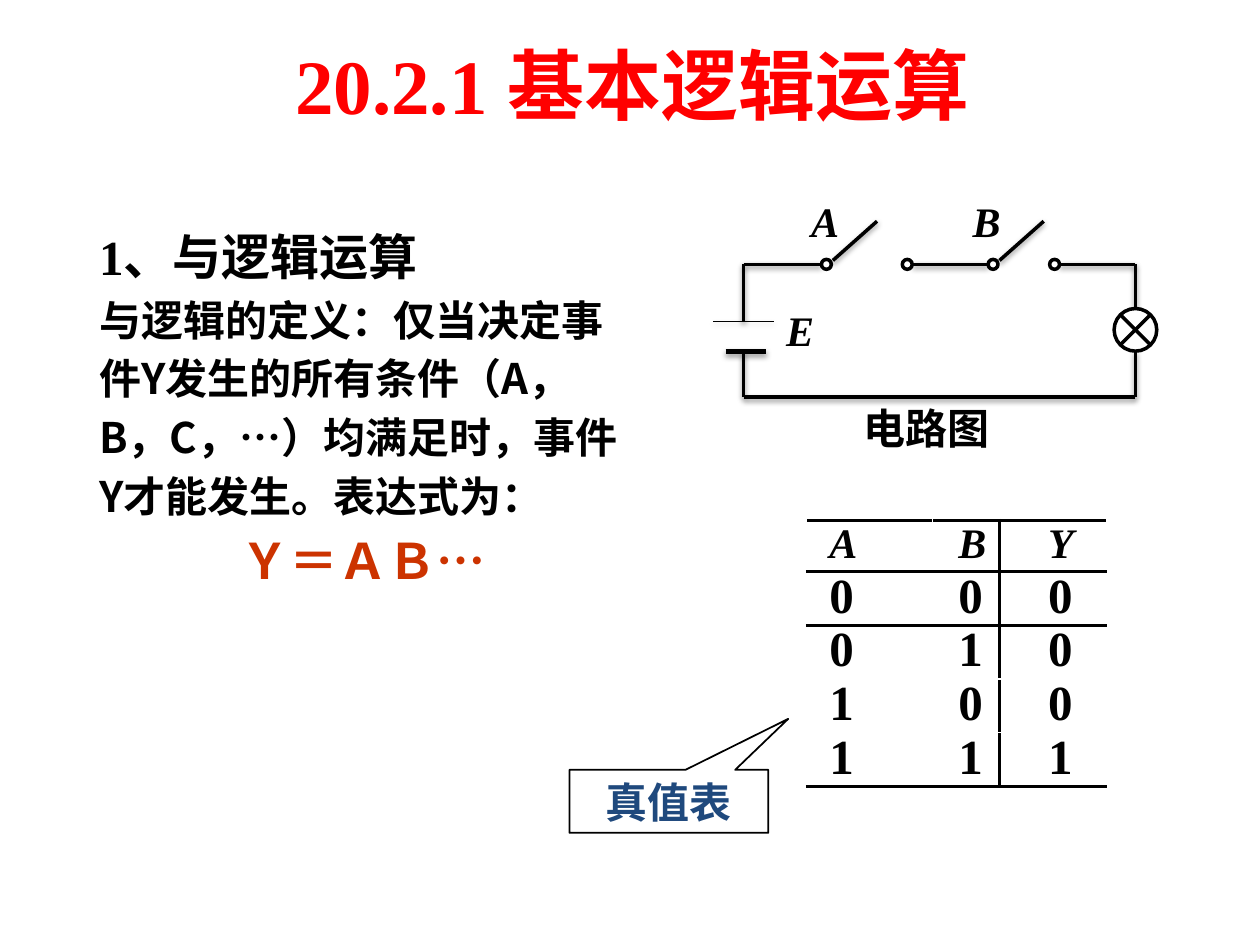
from lxml import etree
from pptx import Presentation
from pptx import util as u
from pptx.dml import color
from pptx.enum import shapes, text
from pptx.oxml import ns

COLORS = {"black": "000000", "white": "FFFFFF", "title": "FF0000",
          "formula": "CC3300", "callout": "1F497D"}
SERIF, SANS, ARIAL = "Times New Roman", "Noto Sans CJK SC", "Arial"


def rgb(name):
    return color.RGBColor.from_string(COLORS[name])


def add_run(paragraph, content, size=24, font=SERIF, ink="black", italic=False):
    run = paragraph.add_run()
    run.text = content
    run.font.size = u.Pt(size)
    run.font.name = font
    run.font.bold = True
    run.font.italic = italic
    run.font.color.rgb = rgb(ink)
    properties = run._r.get_or_add_rPr()
    properties.set("lang", "zh-CN")
    east_asian = etree.Element(ns.qn("a:ea"), typeface=SANS)
    properties.find(ns.qn("a:latin")).addnext(east_asian)


def add_text(parent, box, content="", align=text.PP_ALIGN.LEFT, **style):
    frame = parent.add_textbox(*map(u.Cm, box)).text_frame
    frame.word_wrap = True
    frame.paragraphs[0].alignment = align
    if content:
        add_run(frame.paragraphs[0], content, **style)
    return frame


def add_line(parent, start, end, width=2):
    """Draw a black line with a soft shadow below it."""
    line = parent.add_connector(shapes.MSO_CONNECTOR.STRAIGHT,
                                *map(u.Cm, start + end))
    line.line.color.rgb = rgb("black")
    line.line.width = u.Pt(width)
    effects = etree.SubElement(line._element.spPr, ns.qn("a:effectLst"))
    shadow = etree.SubElement(effects, ns.qn("a:outerShdw"), blurRad="39370",
                              dist="20320", dir="5400000", rotWithShape="0")
    shade = etree.SubElement(shadow, ns.qn("a:srgbClr"), val=COLORS["black"])
    etree.SubElement(shade, ns.qn("a:alpha"), val="38000")


def add_outlined(parent, kind, box, width=2):
    shape = parent.add_shape(kind, *map(u.Cm, box))
    shape.shadow.inherit = False
    shape.fill.solid()
    shape.fill.fore_color.rgb = rgb("white")
    shape.line.color.rgb = rgb("black")
    shape.line.width = u.Pt(width)
    return shape


def add_definition(slide, box):
    paragraphs = [
        [("1", 28, SERIF, "black"), ("、与逻辑运算", 28, SANS, "black")],
        [("与逻辑的定义：仅当决定事", 24, SANS, "black")],
        [("件Y发生的所有条件（A，", 24, SANS, "black")],
        [("B，C，…）均满足时，事件", 24, SANS, "black")],
        [("Y才能发生。表达式为：", 24, SANS, "black")],
        [("Ｙ＝ＡＢ…", 28, SERIF, "formula")],
    ]
    frame = add_text(slide.shapes, box)
    for index, runs in enumerate(paragraphs):
        paragraph = frame.add_paragraph() if index else frame.paragraphs[0]
        if index:
            paragraph.space_before = u.Pt(runs[0][1] * 0.2)
        properties = paragraph._p.get_or_add_pPr()
        properties.set("marL", str(u.Cm(0.95)))
        properties.set("indent", str(u.Cm(-0.95)))
        for run in runs:
            add_run(paragraph, *run)
    paragraph.alignment = text.PP_ALIGN.CENTER


def add_circuit(slide, box):
    """Two switches in series with a battery and a lamp."""
    x, y, width, height = box
    group = slide.shapes.add_group_shape().shapes
    left, right = x + 0.61, x + 8.51
    top, bottom = y + 1.52, y + height
    plate_top, plate_bottom = y + 2.67, y + 3.28
    lamp_size, lamp_top, radius = 0.86, y + 2.41, 0.1
    switch_a, contact_a, switch_b, contact_b = [
        x + offset for offset in (2.28, 3.91, 5.64, 6.88)]

    wires = [
        ((left, top), (switch_a - radius, top)),
        ((contact_a + radius, top), (switch_b - radius, top)),
        ((contact_b + radius, top), (right, top)),
        ((left, top), (left, plate_top)),
        ((left, plate_bottom), (left, bottom)),
        ((right, top), (right, lamp_top)),
        ((right, lamp_top + lamp_size), (right, bottom)),
        ((left, bottom), (right, bottom)),
    ]
    for start, end in wires:
        add_line(group, start, end)
    for switch in (switch_a, switch_b):
        add_line(group, (switch + 0.13, top - 0.08), (switch + 1.02, top - 0.87))
    add_line(group, (x, plate_top), (x + 1.22, plate_top), width=0.25)
    add_line(group, (x + 0.25, plate_bottom), (x + 1.07, plate_bottom), width=3)

    for terminal in (switch_a, contact_a, switch_b, contact_b):
        add_outlined(group, shapes.MSO_SHAPE.OVAL,
                     (terminal - radius, top - radius, 2 * radius, 2 * radius))
    add_outlined(group, shapes.MSO_SHAPE.FLOWCHART_SUMMING_JUNCTION,
                 (right - lamp_size / 2, lamp_top, lamp_size, lamp_size))
    for label, dx, dy in (("A", 1.72, 0), ("B", 4.98, 0), ("E", 1.22, 2.21)):
        add_text(group, (x + dx, y + dy, 1.3, 1.27), label, italic=True)
    add_text(group, (x + 2.77, bottom - 0.02, 3.94, 1.27), "电路图")


def add_border(cell, side):
    border = etree.Element(ns.qn(f"a:{side}"), w=str(u.Pt(2)))
    fill = etree.SubElement(border, ns.qn("a:solidFill"))
    etree.SubElement(fill, ns.qn("a:srgbClr"), val=COLORS["black"])
    return border


def add_truth_table(slide, box):
    rows = ["ABY", "000", "010", "100", "111"]
    columns = [(2.54, 0.46), (1.35, 0.52), (2.16, 0.98)]  # width, left margin
    header_height = 1.04
    row_height = (box[3] - header_height) / (len(rows) - 1)
    table = slide.shapes.add_table(len(rows), len(columns),
                                   *map(u.Cm, box)).table
    table.first_row = table.horz_banding = False
    for column, (width, _) in zip(table.columns, columns):
        column.width = u.Cm(width)
    for i, values in enumerate(rows):
        table.rows[i].height = u.Cm(row_height if i else header_height)
        for j, value in enumerate(values):
            cell = table.cell(i, j)
            cell.margin_left = u.Cm(columns[j][1])
            cell.margin_right = cell.margin_top = cell.margin_bottom = 0
            cell.vertical_anchor = text.MSO_ANCHOR.MIDDLE
            paragraph = cell.text_frame.paragraphs[0]
            paragraph.line_spacing = 0.9
            add_run(paragraph, value, size=28 if i else 24, italic=i == 0)
            sides = {"lnL": j == 2, "lnR": j == 1, "lnT": i < 2,
                     "lnB": i in (0, len(rows) - 1)}
            properties = cell._tc.get_or_add_tcPr()
            for side, shown in sides.items():
                if shown:
                    properties.append(add_border(cell, side))
            cell.fill.background()


def add_callout(slide, box):
    shape = add_outlined(slide.shapes, shapes.MSO_SHAPE.RECTANGULAR_CALLOUT,
                         box, width=1)
    shape.adjustments[0], shape.adjustments[1] = 0.6, -1.31
    frame = shape.text_frame
    frame.vertical_anchor = text.MSO_ANCHOR.MIDDLE
    frame.paragraphs[0].alignment = text.PP_ALIGN.CENTER
    add_run(frame.paragraphs[0], "真值表", font=ARIAL, ink="callout")


def main():
    presentation = Presentation()
    presentation.slide_width, presentation.slide_height = u.Cm(25.4), u.Cm(19.05)
    slide = presentation.slides.add_slide(presentation.slide_layouts[6])
    add_text(slide.shapes, (0.89, 0.64, 23.72, 3.18), "20.2.1 基本逻辑运算",
             align=text.PP_ALIGN.CENTER, size=44, ink="title")
    add_definition(slide, (1.75, 4.45, 11.13, 12.5))
    add_callout(slide, (11.48, 15.52, 4.01, 1.27))
    add_circuit(slide, (14.38, 3.81, 8.92, 4.19))
    add_truth_table(slide, (16.26, 10.49, 6.05, 5.36))
    presentation.save("out.pptx")


if __name__ == "__main__":
    main()
